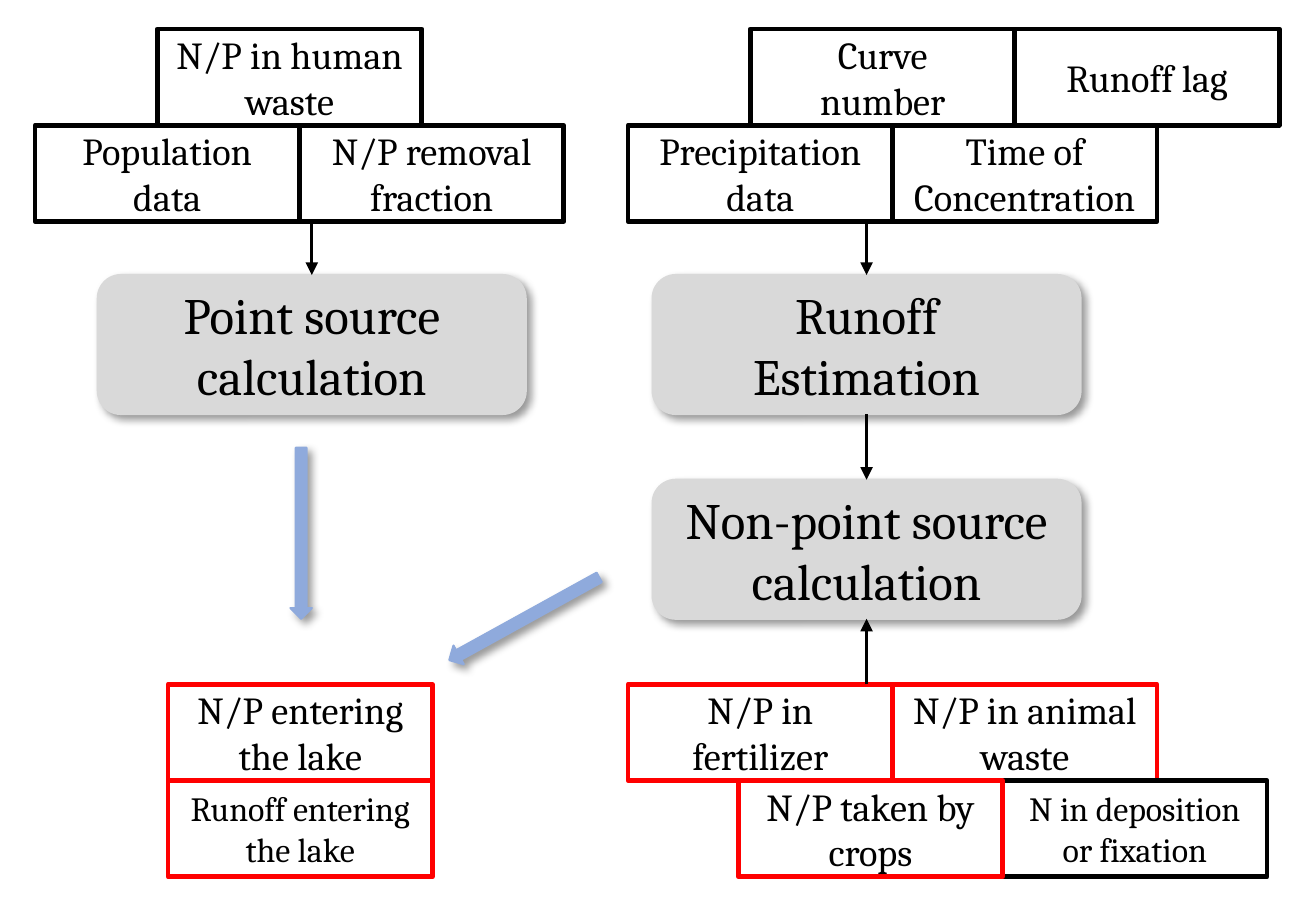
from pptx import Presentation
from pptx.dml.color import RGBColor
from pptx.enum.shapes import MSO_CONNECTOR, MSO_SHAPE
from pptx.enum.text import MSO_ANCHOR, PP_ALIGN
from pptx.oxml import parse_xml
from pptx.oxml.ns import nsdecls, qn
from pptx.util import Pt

PX = 9144  # EMU per px, 100 px to the inch
FONT = "Cambria"
COLORS = {
    "black": "000000",
    "white": "FFFFFF",
    "red": "FF0000",
    "gray": "D9D9D9",
    "blue": "8FAADC",
}
RECT = MSO_SHAPE.RECTANGLE
ROUNDED = MSO_SHAPE.ROUNDED_RECTANGLE
RIGHT_ARROW = MSO_SHAPE.RIGHT_ARROW
STRAIGHT = MSO_CONNECTOR.STRAIGHT
MIDDLE = MSO_ANCHOR.MIDDLE
CENTER = PP_ALIGN.CENTER
TOP, BOTTOM = 0, 2

CELL_WIDTH, CELL_HEIGHT = 173, 63
STAGE_WIDTH, STAGE_HEIGHT = 280, 91
ARROW_LENGTH, ARROW_HEIGHT = 112, 14

# left, top, cells as (text, size, line colour)
CELL_ROWS = [
    (23, 82, [("Population data", 18, "black"), ("N/P removal fraction", 18, "black")]),
    (103, 19, [("N/P in human waste", 18, "black")]),
    (411, 82, [("Precipitation data", 18, "black"), ("Time of Concentration", 18, "black")]),
    (491, 19, [("Curve\nnumber", 18, "black"), ("Runoff lag", 18, "black")]),
    (411, 448, [("N/P in fertilizer", 18, "red"), ("N/P in animal waste", 18, "red")]),
    (483, 511, [("N/P taken by crops", 18, "red"), ("N in deposition\nor fixation", 16, "black")]),
    (110, 448, [("N/P entering the lake", 18, "red")]),
    (110, 511, [("Runoff entering the lake", 16, "red")]),
]


def color(name):
    return RGBColor.from_string(COLORS[name])


def add_shape(page, kind, left, top, width, height, fill, line, line_width):
    shape = page.shapes.add_shape(kind, left * PX, top * PX, width * PX, height * PX)
    shape.shadow.inherit = False
    shape.fill.solid()
    shape.fill.fore_color.rgb = color(fill)
    shape.line.color.rgb = color(line)
    shape.line.width = Pt(line_width)
    return shape


def add_shadow(shape):
    effects = shape._element.spPr.find(qn("a:effectLst"))
    effects.append(parse_xml(
        f'<a:outerShdw {nsdecls("a")} blurRad="{Pt(4)}" dist="{Pt(3)}" dir="2700000" '
        f'algn="tl" rotWithShape="0"><a:srgbClr val="{COLORS["black"]}">'
        '<a:alpha val="40000"/></a:srgbClr></a:outerShdw>'))


def write_text(shape, text, size):
    frame = shape.text_frame
    frame.word_wrap = True
    frame.vertical_anchor = MIDDLE
    frame.text = text
    for para in frame.paragraphs:
        para.alignment = CENTER
        para.font.name = FONT
        para.font.size = Pt(size)
        para.font.color.rgb = color("black")


def add_stage(page, left, top, text):
    stage = add_shape(page, ROUNDED, left, top, STAGE_WIDTH, STAGE_HEIGHT, "gray", "gray", 1)
    add_shadow(stage)
    write_text(stage, text, 24)
    return stage


def add_cell_row(page, left, top, cells):
    """Draw from right to left, so that a left cell's border covers its neighbour's."""
    for column, (text, size, line) in reversed(list(enumerate(cells))):
        cell = add_shape(page, RECT, left + column * CELL_WIDTH, top,
                         CELL_WIDTH, CELL_HEIGHT, "white", line, 2.25)
        write_text(cell, text, size)


def add_thin_arrow(page, x, start_y, end_y, target, side):
    """Draw a vertical arrow whose head is joined to a side of target."""
    arrow = page.shapes.add_connector(STRAIGHT, x * PX, start_y * PX, x * PX, end_y * PX)
    arrow.end_connect(target, side)
    arrow.line.color.rgb = color("black")
    arrow.line.width = Pt(1.5)
    arrow.line._get_or_add_ln().append(
        parse_xml(f'<a:tailEnd {nsdecls("a")} type="triangle"/>'))
    arrow._element.spPr.append(parse_xml(f'<a:effectLst {nsdecls("a")}/>'))
    return arrow


def add_block_arrow(page, left, top, rotation):
    arrow = add_shape(page, RIGHT_ARROW, left, top, ARROW_LENGTH, ARROW_HEIGHT, "blue", "blue", 1)
    arrow.rotation = rotation
    add_shadow(arrow)


def main():
    deck = Presentation()
    deck.slide_width, deck.slide_height = 861 * PX, 593 * PX
    page = deck.slides.add_slide(deck.slide_layouts[6])

    point_source = add_stage(page, 64, 180, "Point source calculation")
    runoff = add_stage(page, 427, 180, "Runoff\nEstimation")
    non_point_source = add_stage(page, 427, 314, "Non-point source calculation")
    for left, top, cells in CELL_ROWS:
        add_cell_row(page, left, top, cells)

    add_thin_arrow(page, 204, 145, 180, point_source, TOP)
    add_thin_arrow(page, 567, 145, 180, runoff, TOP)
    between_stages = add_thin_arrow(page, 567, 271, 314, non_point_source, TOP)
    between_stages.begin_connect(runoff, BOTTOM)
    add_thin_arrow(page, 567, 448, 405, non_point_source, BOTTOM)
    add_block_arrow(page, 141, 342, 90)
    add_block_arrow(page, 287, 398, 151.1)

    deck.save("out.pptx")


if __name__ == "__main__":
    main()
